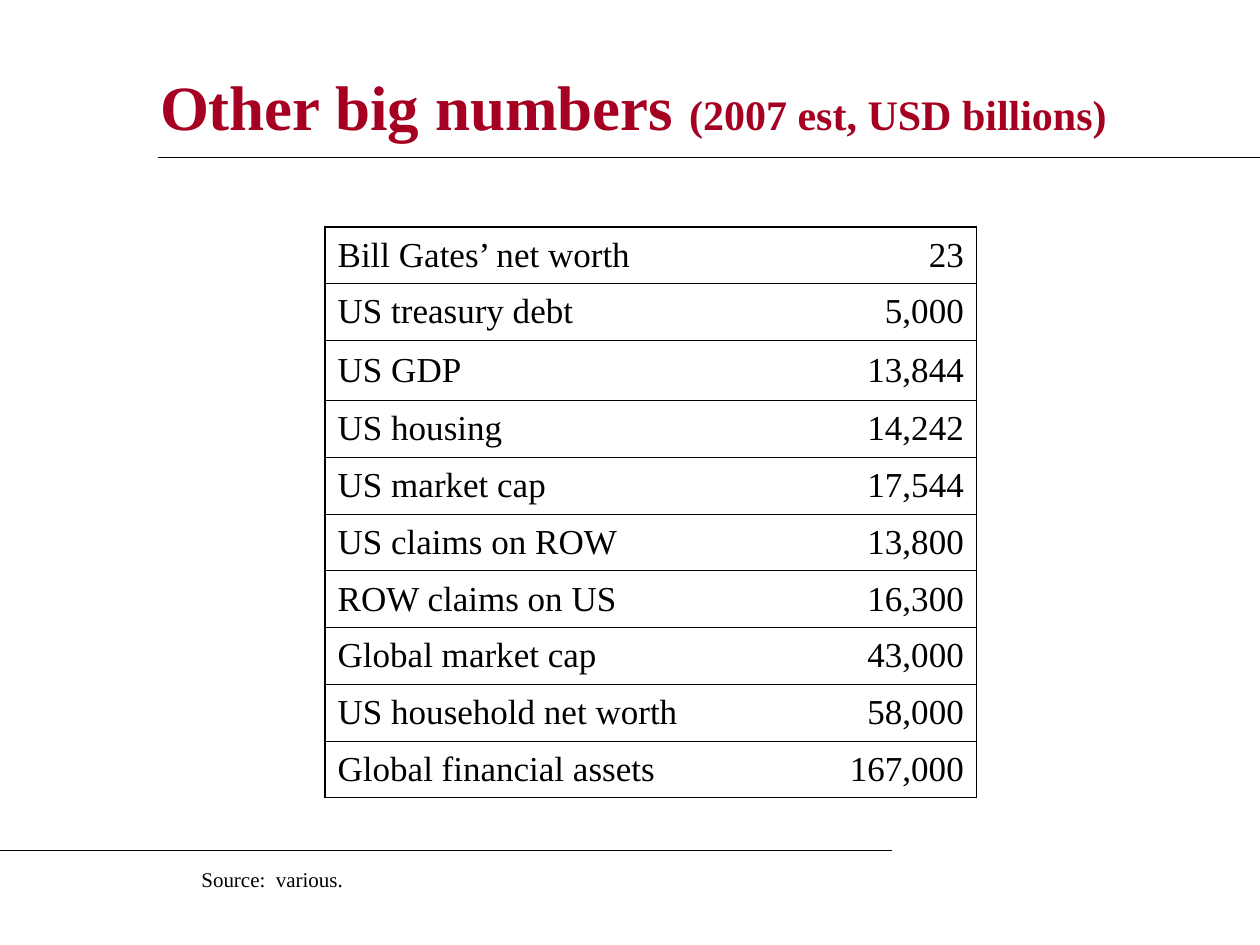
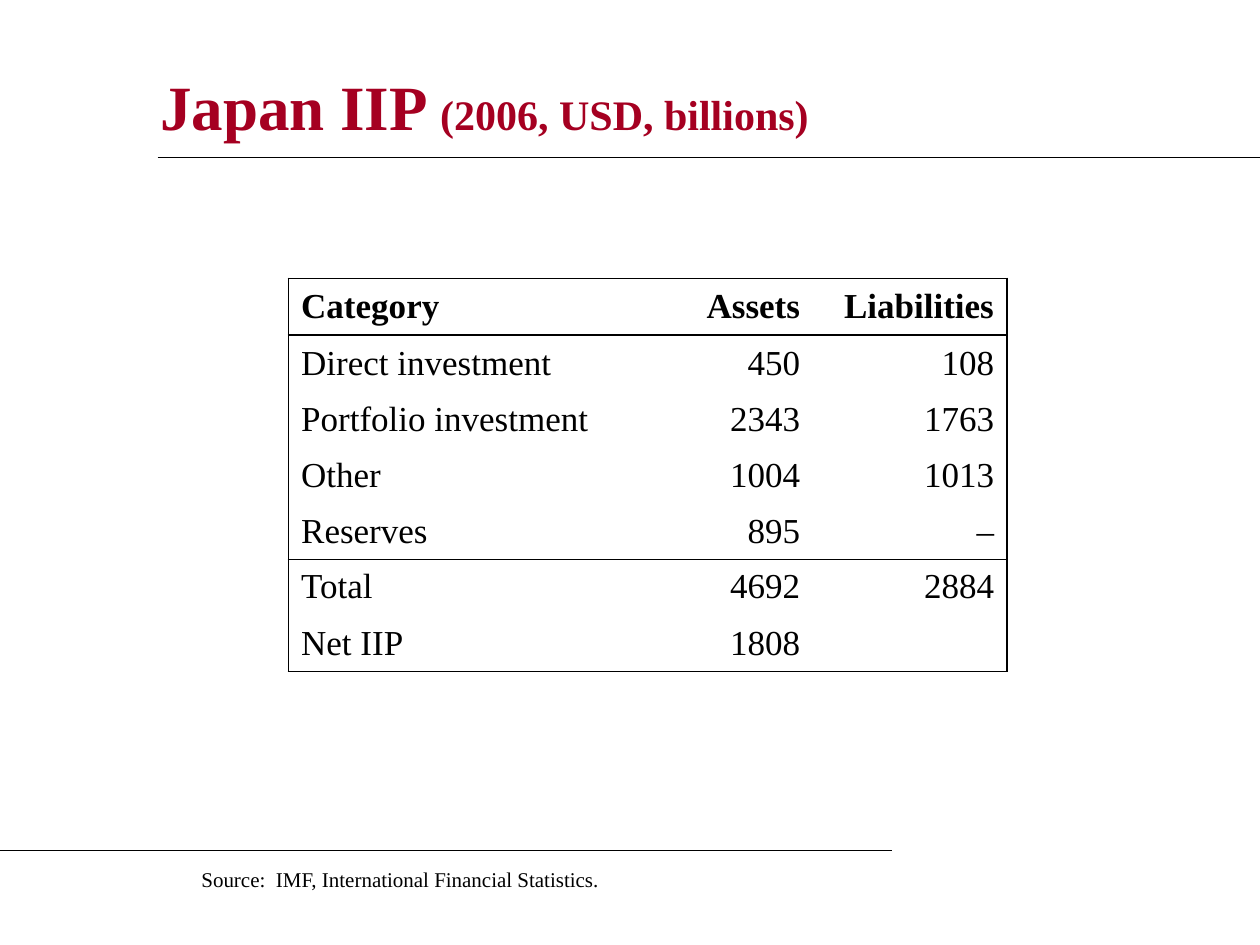
import dataclasses
import pptx
import pptx.dml.color
import pptx.enum.shapes
import pptx.enum.text
import pptx.oxml
import pptx.oxml.ns
import pptx.util
from lxml import etree

Inches = pptx.util.Inches
Pt = pptx.util.Pt
Align = pptx.enum.text.PP_ALIGN
Anchor = pptx.enum.text.MSO_ANCHOR
AutoSize = pptx.enum.text.MSO_AUTO_SIZE
qn = pptx.oxml.ns.qn


@dataclasses.dataclass(frozen=True)
class Theme:
    font: str = "Times New Roman"
    accent: str = "A50021"
    ink: str = "000000"
    title_size: int = 36
    unit_size: int = 24
    table_size: int = 20
    source_size: int = 12
    rule_width: float = 0.75
    frame_width: float = 1.08
    grid_width: float = 0.45


def apply(target, formats):
    for attribute, value in formats.items():
        setattr(target, attribute, value)


class Deck:
    def __init__(self, theme):
        self.theme = theme
        self.presentation = pptx.Presentation()
        apply(self.presentation, {"slide_width": Inches(10), "slide_height": Inches(7.5)})
        self.slide = None

    def add_slide(self, heading, unit, source):
        self.slide = self.presentation.slides.add_slide(self.presentation.slide_layouts[5])
        self.title(heading, unit)
        self.rule(1.25, 10, 1.25)
        self.rule(0, 7.08, 6.75)
        self.source(source)

    def run(self, paragraph, text, size, color, bold=False):
        run = paragraph.add_run()
        run.text = text
        apply(run.font, {"name": self.theme.font, "size": Pt(size), "bold": bold})
        run.font.color.rgb = pptx.dml.color.RGBColor.from_string(color)

    def title(self, heading, unit):
        title = self.slide.shapes.title
        apply(title, {"left": Inches(1.17), "top": Inches(0.25),
                      "width": Inches(8.5), "height": Inches(1.17)})
        apply(title.text_frame, {"auto_size": AutoSize.NONE, "word_wrap": True,
                                 "vertical_anchor": Anchor.MIDDLE})
        paragraph = title.text_frame.paragraphs[0]
        paragraph.alignment = Align.LEFT
        self.run(paragraph, heading + " ", self.theme.title_size, self.theme.accent, True)
        self.run(paragraph, unit, self.theme.unit_size, self.theme.accent, True)

    def rule(self, start, end, top):
        rule = self.slide.shapes.add_connector(
            pptx.enum.shapes.MSO_CONNECTOR.STRAIGHT,
            Inches(start), Inches(top), Inches(end), Inches(top))
        rule.line.width = Pt(self.theme.rule_width)
        rule.line.color.rgb = pptx.dml.color.RGBColor.from_string(self.theme.ink)
        etree.SubElement(rule._element.spPr, qn("a:effectLst"))

    def source(self, text):
        source = self.slide.shapes.add_textbox(
            Inches(1.5), Inches(6.83), Inches(3.58), Inches(0.3))
        apply(source.text_frame, {"word_wrap": True, "auto_size": AutoSize.SHAPE_TO_FIT_TEXT})
        paragraph = source.text_frame.paragraphs[0]
        paragraph.space_before = Pt(7.5)
        self.run(paragraph, text, self.theme.source_size, self.theme.ink)

    def border(self, cell, side, width):
        properties = cell._tc.get_or_add_tcPr()
        line = etree.SubElement(properties, qn(f"a:ln{side}"))
        if not width:
            etree.SubElement(line, qn("a:noFill"))
            return
        line.set("w", str(Pt(width)))
        fill = etree.SubElement(line, qn("a:solidFill"))
        etree.SubElement(fill, qn("a:srgbClr")).set("val", self.theme.ink)

    def table(self, left, top, widths, heights, rows, dividers, header=False):
        table = self.slide.shapes.add_table(
            len(rows), len(widths), Inches(left), Inches(top),
            Inches(sum(widths)), Inches(sum(heights))).table
        apply(table, {"first_row": False, "horz_banding": False})
        for column, width in zip(table.columns, widths):
            column.width = Inches(width)
        frame = self.theme.frame_width
        levels = {**dividers, 0: frame, len(rows): frame}
        for r, (values, height) in enumerate(zip(rows, heights)):
            table.rows[r].height = Inches(height)
            for c, value in enumerate(values):
                cell = table.cell(r, c)
                borders = {"L": frame if c == 0 else 0,
                           "R": frame if c == len(widths) - 1 else 0,
                           "T": levels.get(r, 0),
                           "B": levels.get(r + 1, 0)}
                for side, width in borders.items():
                    self.border(cell, side, width)
                cell.fill.background()
                cell.vertical_anchor = Anchor.MIDDLE
                paragraph = cell.text_frame.paragraphs[0]
                apply(paragraph, {"alignment": Align.RIGHT if c else Align.LEFT,
                                  "space_before": Pt(5)})
                if value:
                    self.run(paragraph, value, self.theme.table_size, self.theme.ink,
                             header and r == 0)


BIG_NUMBERS = [
    ("Bill Gates’ net worth", "23"),
    ("US treasury debt", "5,000"),
    ("US GDP", "13,844"),
    ("US housing", "14,242"),
    ("US market cap", "17,544"),
    ("US claims on ROW", "13,800"),
    ("ROW claims on US", "16,300"),
    ("Global market cap", "43,000"),
    ("US household net worth", "58,000"),
    ("Global financial assets", "167,000"),
]

JAPAN_POSITION = [
    ("Category", "Assets", "Liabilities"),
    ("Direct investment", "450", "108"),
    ("Portfolio investment", "2343", "1763"),
    ("Other", "1004", "1013"),
    ("Reserves", "895", "–"),
    ("Total", "4692", "2884"),
    ("Net IIP", "1808", ""),
]


def main():
    theme = Theme()
    deck = Deck(theme)

    deck.add_slide("Other big numbers", "(2007 est, USD billions)", "Source:  various.")
    deck.table(2.58, 1.8, [3.67, 1.5], [0.45] * 2 + [0.48] + [0.45] * 7, BIG_NUMBERS,
               dict.fromkeys(range(1, len(BIG_NUMBERS)), theme.grid_width))

    deck.add_slide("Japan IIP", "(2006, USD, billions)",
                   "Source:  IMF, International Financial Statistics.")
    deck.table(2.29, 2.21, [3.08, 1.08, 1.54], [0.45, 0.45, 0.44, 0.45, 0.44, 0.44, 0.45],
               JAPAN_POSITION, dict.fromkeys((1, 5), theme.frame_width), header=True)

    deck.presentation.save("out.pptx")


if __name__ == "__main__":
    main()
